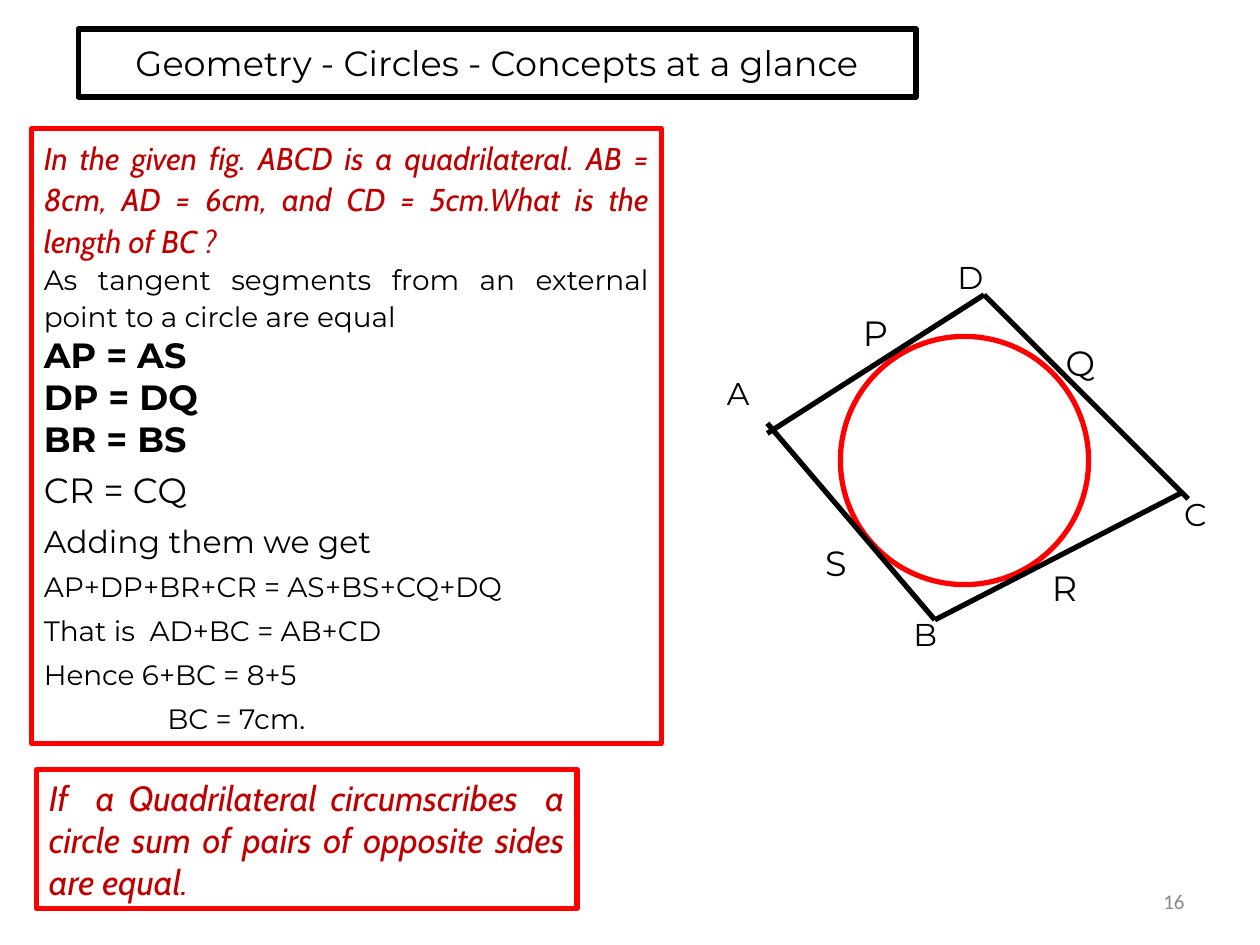
import pptx
import pptx.dml.color
import pptx.enum.shapes
import pptx.enum.text
import pptx.util
from dataclasses import dataclass
from lxml import etree

ALIGN = pptx.enum.text.PP_ALIGN
ANCHOR = pptx.enum.text.MSO_ANCHOR
FIT = pptx.enum.text.MSO_AUTO_SIZE
SHAPES = pptx.enum.shapes.MSO_SHAPE
Pt = pptx.util.Pt


@dataclass(frozen=True)
class Theme:
    sans: str = "Montserrat"
    accent: str = "Cabin"
    small: str = "Calibri"
    black: str = "000000"
    red: str = "FF0000"
    crimson: str = "C00000"
    grey: str = "898989"
    large: int = 20
    medium: int = 18
    normal: int = 16
    tiny: int = 12
    stroke: int = 3


theme = Theme()
deck = pptx.Presentation()
deck.slide_width = pptx.util.Inches(10)
deck.slide_height = pptx.util.Inches(7.5)
page = deck.slides.add_slide(deck.slide_layouts[5])


def cells(*counts):
    """Turn counts of square grid cells, 100 to the slide's width, into lengths."""
    return [int(count * deck.slide_width / 100) for count in counts]


def write(para, text, size, font=theme.sans, color=theme.black,
          align=ALIGN.LEFT, bold=False, italic=False):
    para.text = text
    para.alignment = align
    para.font.size = Pt(size)
    para.font.name = font
    para.font.bold = bold
    para.font.italic = italic
    para.font.color.rgb = pptx.dml.color.RGBColor.from_string(color)


# Title
title = page.shapes.title
title.left, title.top, title.width, title.height = cells(6.2, 2.3, 66.5, 5.4)
title.text_frame.auto_size = FIT.NONE
title.text_frame.vertical_anchor = ANCHOR.MIDDLE
write(title.text_frame.paragraphs[0], "Geometry - Circles - Concepts at a glance",
      theme.large, align=ALIGN.CENTER)

# Framed boxes and the inscribed circle
solution = page.shapes.add_shape(SHAPES.RECTANGLE, *cells(2.5, 10.2, 50, 48.8))
circle = page.shapes.add_shape(SHAPES.OVAL, *cells(66.7, 26.7, 19.7, 19.7))
theorem = page.shapes.add_shape(SHAPES.RECTANGLE, *cells(2.9, 61.1, 42.9, 11))
for shape, color in ((title, theme.black), (solution, theme.red),
                     (circle, theme.red), (theorem, theme.red)):
    shape.shadow.inherit = False
    shape.fill.background()
    shape.line.color.rgb = pptx.dml.color.RGBColor.from_string(color)
    shape.line.width = Pt(theme.stroke)
    shape.text_frame.word_wrap = True

# Worked solution: text, size, line spacing, space before, style
question = dict(font=theme.accent, color=theme.crimson, align=ALIGN.JUSTIFY, italic=True)
equality = dict(align=ALIGN.JUSTIFY, bold=True)
steps = [
    ("In the given fig. ABCD is a quadrilateral. AB = 8cm, AD = 6cm, "
     "and CD = 5cm.What is the length of BC ?", theme.medium, 1.1, 0, question),
    ("As tangent segments from an external point to a circle are equal",
     theme.normal, 1.1, 0, dict(align=ALIGN.JUSTIFY)),
    ("AP = AS", theme.large, 1, 0, equality),
    ("DP = DQ", theme.large, 1, 0, equality),
    ("BR = BS", theme.large, 1, 0, equality),
    ("CR = CQ", theme.large, 1, 5, {}),
    ("Adding them we get", theme.medium, 1.1, 4.5, {}),
    ("AP+DP+BR+CR = AS+BS+CQ+DQ", theme.normal, 1.1, 4, {}),
    ("That is  AD+BC = AB+CD", theme.normal, 1.1, 4, {}),
    ("Hence 6+BC = 8+5", theme.normal, 1.1, 4, {}),
    ("BC = 7cm.", theme.normal, 1.1, 4, {}),
]
frame = solution.text_frame
frame.vertical_anchor = ANCHOR.TOP
for index, (text, size, spacing, before, style) in enumerate(steps):
    para = frame.add_paragraph() if index else frame.paragraphs[0]
    write(para, text, size, **style)
    para.line_spacing = spacing
    para.space_before = Pt(before)
result_indent, = cells(9.8)
para._p.get_or_add_pPr().set("marL", str(result_indent))

# Theorem
theorem.text_frame.vertical_anchor = ANCHOR.TOP
theorem.text_frame.auto_size = FIT.SHAPE_TO_FIT_TEXT
write(theorem.text_frame.paragraphs[0],
      "If  a Quadrilateral circumscribes  a circle sum of pairs of opposite sides are equal.",
      theme.large, **question)

# Sides AB, BC, DC and AD
for ends in ((60.9, 33.6, 74.2, 49.2), (74.2, 49.2, 93.8, 39.1),
             (78.1, 23.4, 94.3, 39.6), (60.9, 34.4, 78.1, 23.4)):
    side = page.shapes.add_connector(pptx.enum.shapes.MSO_CONNECTOR.STRAIGHT, *cells(*ends))
    side.line.color.rgb = pptx.dml.color.RGBColor.from_string(theme.black)
    side.line.width = Pt(theme.stroke)
    etree.SubElement(side._element.spPr, pptx.oxml.ns.qn("a:effectLst"))

# Vertex labels, then tangent point labels: left, top, width
vertices = {"A": (56.7, 29.2, 6.7), "B": (71.5, 48.3, 9.3),
            "C": (93, 38.8, 4.3), "D": (75, 20, 8.3)}
tangents = {"P": (67.5, 24.2, 5), "Q": (83.6, 26.6, 4.8),
            "R": (82.5, 44.5, 5), "S": (64.5, 42.5, 5.8)}
for labels, size, height in ((vertices, theme.medium, 4), (tangents, theme.large, 4.4)):
    for name, place in labels.items():
        label = page.shapes.add_textbox(*cells(*place, height))
        label.text_frame.word_wrap = True
        label.text_frame.auto_size = FIT.SHAPE_TO_FIT_TEXT
        write(label.text_frame.paragraphs[0], name, size)

# Page number
number = page.shapes.add_textbox(*cells(71.7, 69.5, 23.3, 4))
number.text_frame.word_wrap = True
number.text_frame.vertical_anchor = ANCHOR.MIDDLE
write(number.text_frame.paragraphs[0], "16", theme.tiny, font=theme.small,
      color=theme.grey, align=ALIGN.RIGHT)

deck.save("out.pptx")
